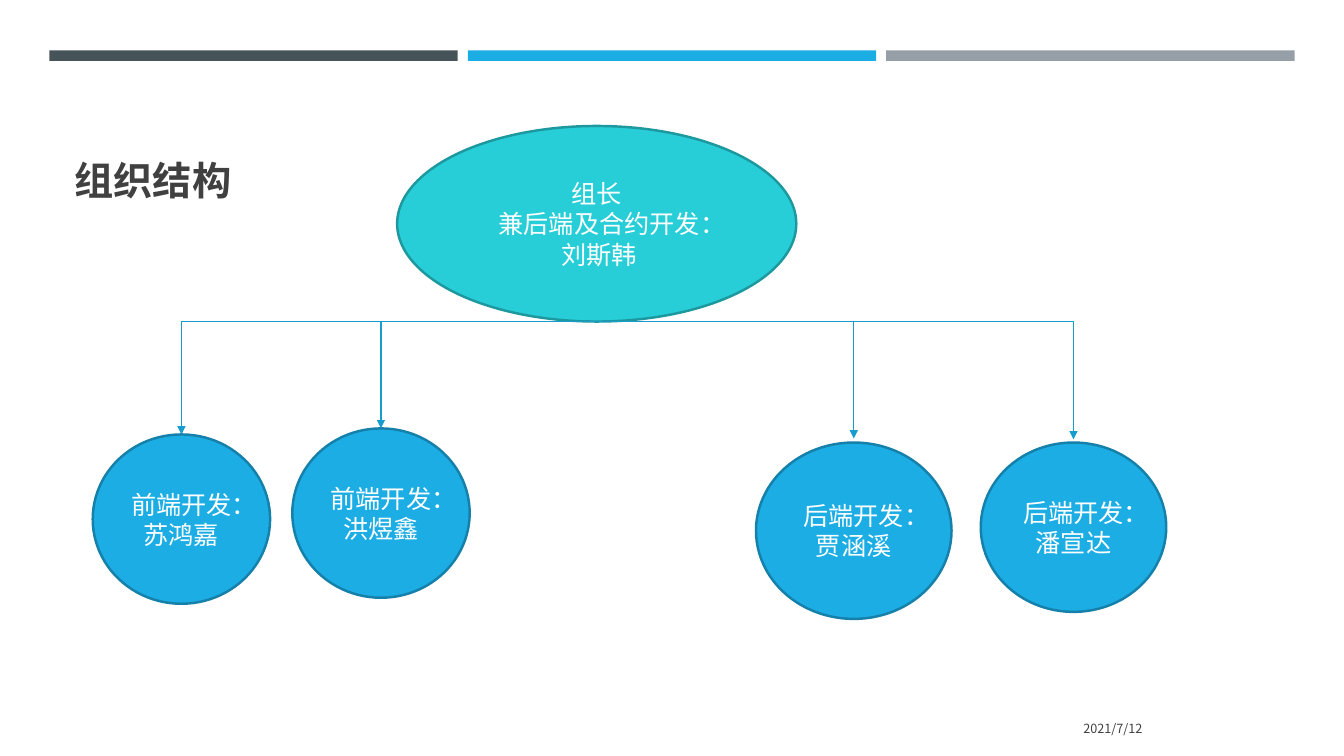
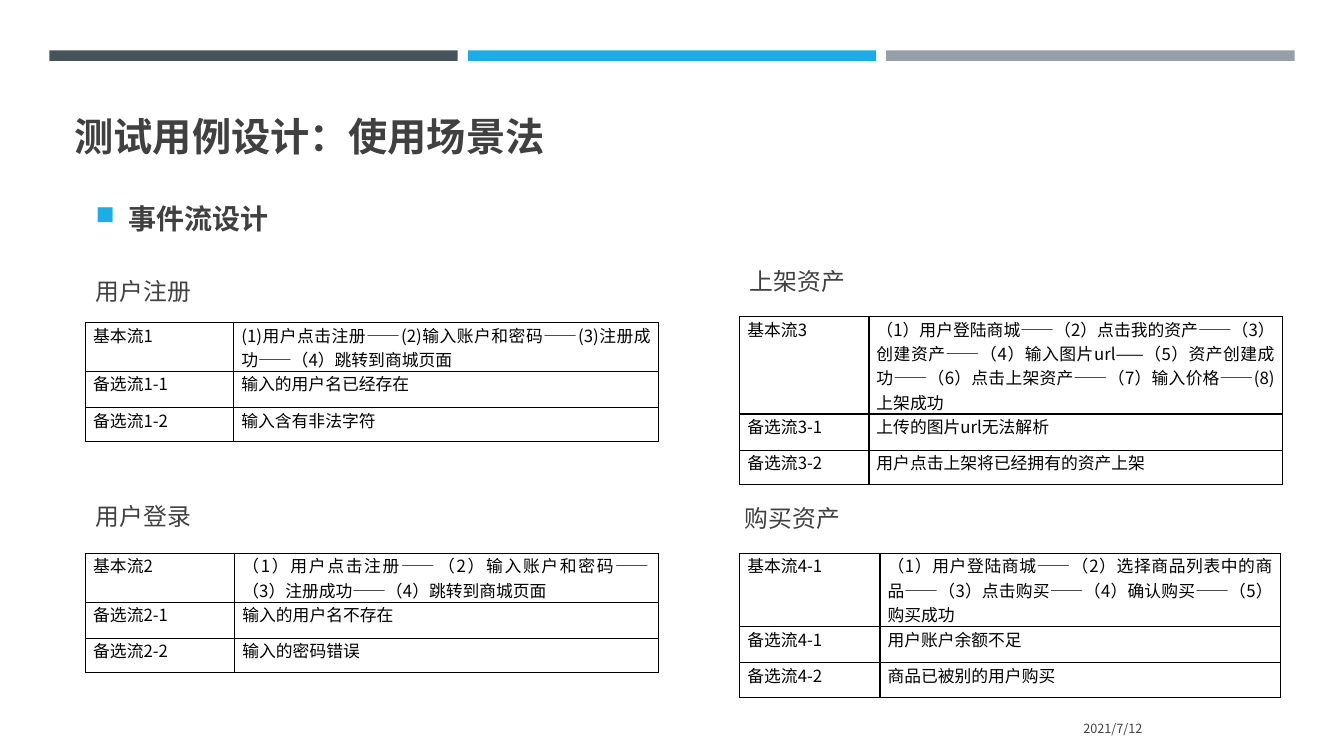
from dataclasses import dataclass

from lxml import etree
from pptx import Presentation
from pptx.dml.color import RGBColor
from pptx.enum.shapes import MSO_CONNECTOR, MSO_SHAPE
from pptx.enum.text import MSO_ANCHOR, PP_ALIGN
from pptx.oxml.ns import qn
from pptx.util import Inches, Pt

LEFT, CENTER, RIGHT, JUSTIFY = (PP_ALIGN.LEFT, PP_ALIGN.CENTER,
                                PP_ALIGN.RIGHT, PP_ALIGN.JUSTIFY)
TOP, MIDDLE, BOTTOM = MSO_ANCHOR.TOP, MSO_ANCHOR.MIDDLE, MSO_ANCHOR.BOTTOM
ELLIPSE, RECTANGLE = MSO_SHAPE.OVAL, MSO_SHAPE.RECTANGLE
ELBOW = MSO_CONNECTOR.ELBOW

COLORS = {
    "slate": "465359", "blue": "1CADE4", "gray": "969FA7",
    "teal": "27CED7", "teal_edge": "1D989F", "blue_edge": "1580A9",
    "arrow": "189CCE", "text": "404040", "black": "000000", "white": "FFFFFF",
}
CJK, LATIN = "Noto Sans CJK SC", "Lato"

# The grid has square cells of a tenth of an inch.
COLUMNS, ROWS = 133.33, 75
MARGIN, BAND_TOP, BAND_HEIGHT, BAND_GAP = 4.9, 5, 1.05, 1
BANDS = ("slate", "blue", "gray")
DATE = "2021/7/12"


@dataclass(frozen=True)
class Style:
    size: float
    font: str = CJK
    color: str = "text"
    bold: bool = False
    align: PP_ALIGN = LEFT
    line_spacing: float | None = None


TITLE = Style(28, bold=True)
FOOTER = Style(9, align=RIGHT)
NODE = Style(18, LATIN, "white", align=CENTER)
HEADING = Style(20, bold=True, line_spacing=1.1)
CAPTION = Style(17, line_spacing=1.1)
CELL = Style(12, color="black", align=JUSTIFY)


@dataclass(frozen=True)
class Area:
    left: float
    top: float
    width: float
    height: float

    @property
    def center(self) -> float:
        return self.left + self.width / 2

    @property
    def bottom(self) -> float:
        return self.top + self.height

    def lengths(self) -> list:
        return [cells(value) for value in
                (self.left, self.top, self.width, self.height)]


@dataclass(frozen=True)
class Member:
    role: str
    name: str
    area: Area
    arrow_gap: float = 0


@dataclass(frozen=True)
class Flow:
    caption: str
    caption_at: tuple[float, float]
    table_at: tuple[float, float]
    widths: tuple[float, float]
    basic_lines: int
    rows: tuple[tuple[str, str], ...]


LEADER = Area(39.4, 12.5, 39.6, 19.4)
LEADER_LINES = (("组长", 0), ("兼后端及合约开发：", 3), ("刘斯韩", 0.5))
MEMBERS = (
    Member("前端开发：", "洪煜鑫", Area(29, 42.5, 17.6, 16.8)),
    Member("后端开发：", "潘宣达", Area(97.3, 43.9, 18.4, 16.8), 0.3),
    Member("前端开发：", "苏鸿嘉", Area(9.2, 43.1, 17.6, 16.8)),
    Member("后端开发：", "贾涵溪", Area(75, 43.9, 19.4, 17.5), 0.4),
)
FLOWS = (
    Flow("用户注册", (8.5, 26.7), (8.5, 32), (14.7, 42.1), 2, (
        ("基本流1", "(1)用户点击注册——(2)输入账户和密码——(3)注册成功——（4）跳转到商城页面"),
        ("备选流1-1", "输入的用户名已经存在"),
        ("备选流1-2", "输入含有非法字符"))),
    Flow("用户登录", (8.5, 49), (8.5, 54.9), (14.8, 42), 2, (
        ("基本流2", "（1）用户点击注册——（2）输入账户和密码——（3）注册成功——（4）跳转到商城页面"),
        ("备选流2-1", "输入的用户名不存在"),
        ("备选流2-2", "输入的密码错误"))),
    Flow("上架资产", (73.4, 25.7), (73.4, 31.4), (12.8, 41), 4, (
        ("基本流3", "（1）用户登陆商城——（2）点击我的资产——（3）创建资产——（4）输入图片url"
                 "——（5）资产创建成功——（6）点击上架资产——（7）输入价格——(8)上架成功"),
        ("备选流3-1", "上传的图片url无法解析"),
        ("备选流3-2", "用户点击上架将已经拥有的资产上架"))),
    Flow("购买资产", (72.9, 49.2), (73.4, 54.9), (13.9, 39.7), 3, (
        ("基本流4-1", "（1）用户登陆商城——（2）选择商品列表中的商品——（3）点击购买"
                   "——（4）确认购买——（5）购买成功"),
        ("备选流4-1", "用户账户余额不足"),
        ("备选流4-2", "商品已被别的用户购买"))),
)


def cells(count: float) -> int:
    return Inches(count / 10)


def rgb(name: str) -> RGBColor:
    return RGBColor.from_string(COLORS[name])


def child(parent, tag: str, **attributes):
    element = etree.SubElement(parent, qn(tag))
    for key, value in attributes.items():
        element.set(key, value)
    return element


def write(para, text: str, style: Style, indent: float = 0) -> None:
    if indent:
        para._p.get_or_add_pPr().set("marL", str(cells(indent)))
    for key, value in {"alignment": style.align,
                       "line_spacing": style.line_spacing}.items():
        setattr(para, key, value)
    span = para.add_run()
    span.text = text
    for key, value in {"size": Pt(style.size), "bold": style.bold,
                       "name": style.font}.items():
        setattr(span.font, key, value)
    span.font.color.rgb = rgb(style.color)
    child(span._r.get_or_add_rPr(), "a:ea", typeface=style.font)


def add_text(slide, area: Area, text: str, style: Style, anchor=TOP):
    box = slide.shapes.add_textbox(*area.lengths())
    box.text_frame.word_wrap = True
    box.text_frame.vertical_anchor = anchor
    para = box.text_frame.paragraphs[0]
    write(para, text, style)
    return para


def add_filled(slide, kind, area: Area, fill: str, edge: str | None = None):
    shape = slide.shapes.add_shape(kind, *area.lengths())
    shape.shadow.inherit = False
    shape.fill.solid()
    shape.fill.fore_color.rgb = rgb(fill)
    if edge:
        shape.line.color.rgb = rgb(edge)
        shape.line.width = Pt(1.75)
    else:
        shape.line.fill.background()
    return shape


def add_page(deck, title: str, title_height: float):
    """Add a slide with its title, the three bands and the date."""
    slide = deck.slides.add_slide(deck.slide_layouts[5])
    width = (COLUMNS - 2 * MARGIN - 2 * BAND_GAP) / len(BANDS)
    for index, color in enumerate(BANDS):
        left = MARGIN + index * (width + BAND_GAP)
        add_filled(slide, RECTANGLE,
                   Area(left, BAND_TOP, width, BAND_HEIGHT), color)
    box = slide.shapes.title
    area = Area(6.4, 7.7, 120.6, title_height)
    for key, value in zip(("left", "top", "width", "height"), area.lengths()):
        setattr(box, key, value)
    box.text_frame.vertical_anchor = BOTTOM
    write(box.text_frame.paragraphs[0], title, TITLE)
    add_text(slide, Area(83.2, 70.3, 31.1, 4), DATE, FOOTER, MIDDLE)
    return slide


def add_node(slide, area: Area, lines, fill: str, edge: str) -> None:
    frame = add_filled(slide, ELLIPSE, area, fill, edge).text_frame
    frame.word_wrap = True
    frame.vertical_anchor = MIDDLE
    for index, (text, indent) in enumerate(lines):
        para = frame.add_paragraph() if index else frame.paragraphs[0]
        write(para, text, NODE, indent)


def add_branch(slide, member: Member) -> None:
    """Draw an arrow that runs sideways from the leader, then down."""
    line = slide.shapes.add_connector(
        ELBOW, cells(LEADER.center), cells(LEADER.bottom),
        cells(member.area.center), cells(member.area.top - member.arrow_gap))
    line.line.color.rgb = rgb("arrow")
    line.line.width = Pt(1)
    properties = line._element.spPr
    properties.find(qn("a:prstGeom")).set("prst", "bentConnector2")
    child(line.line._get_or_add_ln(), "a:tailEnd", type="triangle")
    child(properties, "a:effectLst")


def add_borders(cell) -> None:
    properties = cell._tc.get_or_add_tcPr()
    for index, side in enumerate(("a:lnL", "a:lnR", "a:lnT", "a:lnB")):
        border = child(properties, side, w=str(Pt(1)))
        child(child(border, "a:solidFill"), "a:srgbClr", val=COLORS["black"])
        properties.insert(index, border)


def add_flow(slide, flow: Flow) -> None:
    add_text(slide, Area(*flow.caption_at, 33, 4.5), flow.caption, CAPTION)
    heights = (flow.basic_lines * 2.42, 3.6, 3.4)
    area = Area(*flow.table_at, sum(flow.widths), sum(heights))
    table = slide.shapes.add_table(
        len(flow.rows), len(flow.widths), *area.lengths()).table
    table.first_row = table.horz_banding = False
    for column, width in zip(table.columns, flow.widths):
        column.width = cells(width)
    for row, height, texts in zip(table.rows, heights, flow.rows):
        row.height = cells(height)
        for cell, text in zip(row.cells, texts):
            for key, value in {"margin_left": cells(0.75),
                               "margin_right": cells(0.75),
                               "margin_top": 0, "margin_bottom": 0}.items():
                setattr(cell, key, value)
            cell.fill.background()
            add_borders(cell)
            write(cell.text_frame.paragraphs[0], text, CELL)


def add_bullet(para) -> None:
    properties = para._p.get_or_add_pPr()
    properties.set("marL", str(cells(3.3)))
    properties.set("indent", str(-cells(3.3)))
    child(child(properties, "a:buClr"), "a:srgbClr", val=COLORS["blue"])
    child(properties, "a:buSzPct", val="92000")
    child(properties, "a:buChar", char="■")


def build_organisation(deck) -> None:
    slide = add_page(deck, "组织结构", 13)
    add_node(slide, LEADER, LEADER_LINES, "teal", "teal_edge")
    for member in MEMBERS:
        lines = ((member.role, 0), (member.name, 0))
        add_node(slide, member.area, lines, "blue", "blue_edge")
    for member in MEMBERS:
        add_branch(slide, member)


def build_test_cases(deck) -> None:
    slide = add_page(deck, "测试用例设计：使用场景法", 8.6)
    add_bullet(add_text(slide, Area(8.5, 19.2, 33, 4.5), "事件流设计", HEADING))
    for flow in FLOWS:
        add_flow(slide, flow)


def main() -> None:
    deck = Presentation()
    deck.slide_width, deck.slide_height = cells(COLUMNS), cells(ROWS)
    build_organisation(deck)
    build_test_cases(deck)
    deck.save("out.pptx")


if __name__ == "__main__":
    main()
